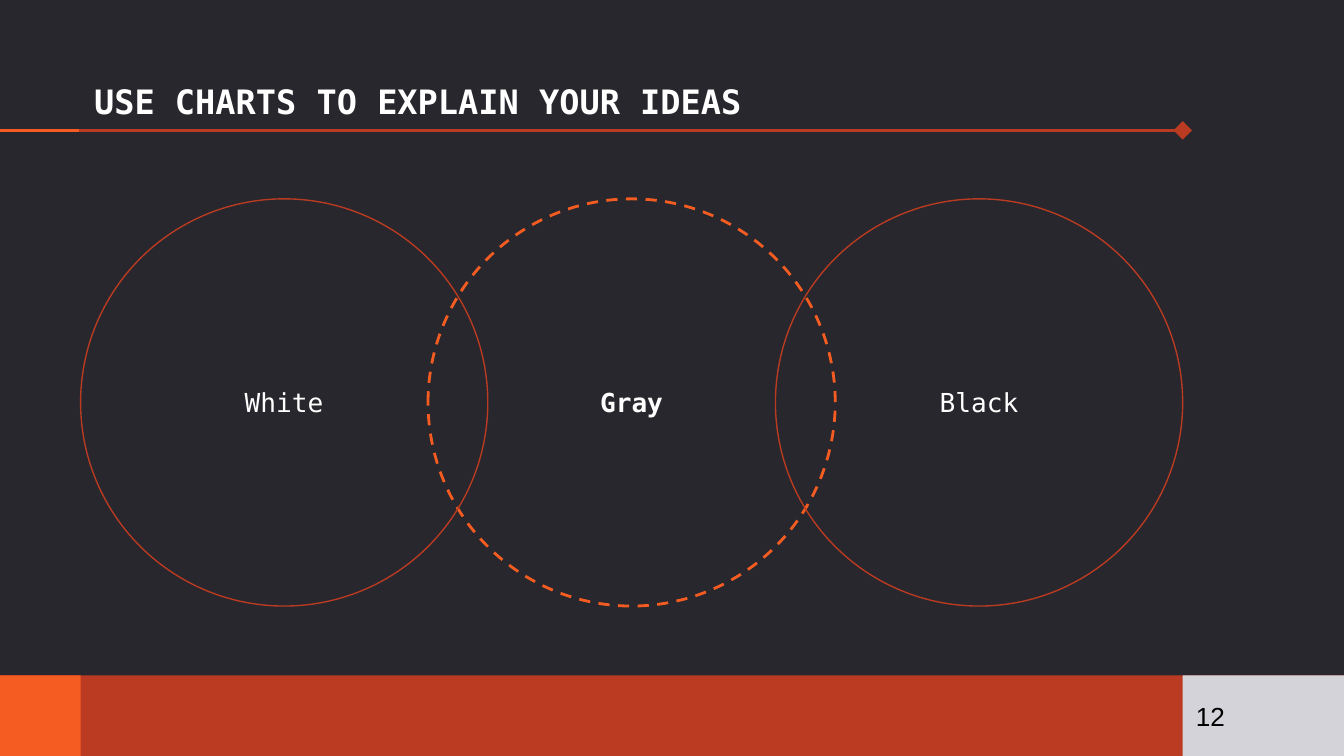
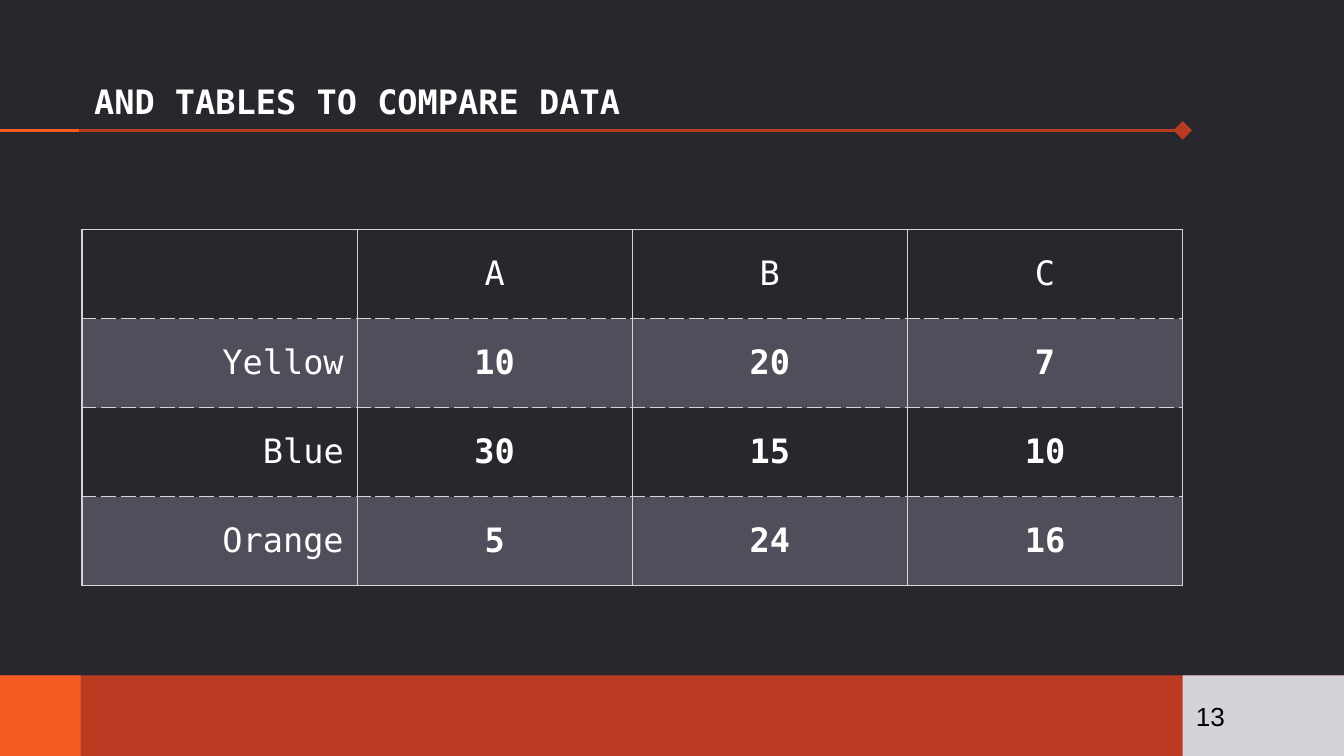
from lxml import etree
from pptx import Presentation
from pptx.dml.color import RGBColor
from pptx.enum.dml import MSO_LINE
from pptx.enum.shapes import MSO_CONNECTOR, MSO_SHAPE
from pptx.enum.text import MSO_ANCHOR, MSO_AUTO_SIZE, PP_ALIGN
from pptx.oxml.ns import qn
from pptx.util import Inches, Pt

RECT, OVAL = MSO_SHAPE.RECTANGLE, MSO_SHAPE.OVAL
STRAIGHT, DASH = MSO_CONNECTOR.STRAIGHT, MSO_LINE.DASH
LEFT, CENTER, RIGHT = PP_ALIGN.LEFT, PP_ALIGN.CENTER, PP_ALIGN.RIGHT
MIDDLE, BOTTOM = MSO_ANCHOR.MIDDLE, MSO_ANCHOR.BOTTOM
NO_FIT = MSO_AUTO_SIZE.NONE

COLORS = {
    "back": "27272D", "red": "BA3B21", "orange": "F55C21",
    "pale": "D4D3D9", "stripe": "4F4F5C", "white": "FFFFFF", "black": "000000",
}
MONO, SANS = "DejaVu Sans Mono", "Arial"
WIDE = 10
HIGH = WIDE * 9 / 16
EDGE, END = 0.6, 8.8      # left and right limits of the content
RULE, BAND = 0.97, 0.6    # height of the title rule, depth of the footer


def color(name):
    """Return a palette colour."""
    return RGBColor.from_string(COLORS[name])


def write(frame, text, size, align=LEFT, bold=False, font=MONO, ink="white"):
    """Put one styled run in the first paragraph of a frame."""
    para = frame.paragraphs[0]
    para.alignment = align
    run = para.add_run()
    run.text = text
    run.font.name = font
    run.font.size = Pt(size)
    run.font.bold = bold
    run.font.color.rgb = color(ink)


def set_frame(frame, anchor):
    """Give a frame wrapping, even insets and an anchor."""
    frame.word_wrap = True
    frame.auto_size = NO_FIT
    frame.vertical_anchor = anchor
    frame.margin_left = frame.margin_right = Inches(0.1)
    frame.margin_top = frame.margin_bottom = Inches(0.1)


def add_box(slide, kind, box, fill=None):
    """Add a preset shape with no shadow or outline."""
    shape = slide.shapes.add_shape(kind, *map(Inches, box))
    shape.shadow.inherit = False
    if fill:
        shape.fill.solid()
        shape.fill.fore_color.rgb = color(fill)
    else:
        shape.fill.background()
    shape.line.fill.background()
    set_frame(shape.text_frame, MIDDLE)
    return shape


def add_rule(slide, end, ink, tip=None):
    """Draw the title rule from the slide edge to a given point."""
    rule = slide.shapes.add_connector(
        STRAIGHT, Inches(-0.01), Inches(RULE), Inches(end), Inches(RULE))
    rule.line.color.rgb = color(ink)
    rule.line.width = Pt(1.5)
    if tip:
        etree.SubElement(rule.line._get_or_add_ln(), qn("a:tailEnd"),
                         type=tip, w="lg", len="lg")
    etree.SubElement(rule._element.spPr, qn("a:effectLst"))


def add_footer(slide, box, number):
    """Draw the footer band with its end blocks and the page number."""
    left, top, width, height = box
    add_box(slide, RECT, box, "red")
    add_box(slide, RECT, (left, top, EDGE, height), "orange")
    page = add_box(slide, RECT, (END, top, left + width - END, height), "pale")
    write(page.text_frame, str(number), 14, font=SANS, ink="black")


def add_page(deck, title, number):
    """Add a slide with background, title, rule and footer."""
    slide = deck.slides.add_slide(deck.slide_layouts.get_by_name("Title Only"))
    slide.background.fill.solid()
    slide.background.fill.fore_color.rgb = color("back")
    head = slide.shapes.title
    head.left, head.top = Inches(EDGE), Inches(0.4)
    head.width, head.height = Inches(END - EDGE), Inches(0.6)
    set_frame(head.text_frame, BOTTOM)
    write(head.text_frame, title, 18, bold=True)
    add_rule(slide, END, "red", "diamond")
    add_rule(slide, EDGE - 0.01, "orange")
    add_footer(slide, (0, HIGH - BAND, WIDE, BAND), number)
    return slide


def add_rings(slide, box, names):
    """Spread overlapping rings over a box, the dashed middle one at the back."""
    left, top, width, size = box
    step = (width - size) / (len(names) - 1)
    mid = len(names) // 2
    for i in sorted(range(len(names)), key=lambda i: i != mid):
        main = i == mid
        ring = add_box(slide, OVAL, (left + i * step, top, size, size))
        ring.line.color.rgb = color("orange" if main else "red")
        ring.line.width = Pt(1.5 if main else 0.75)
        if main:
            ring.line.dash_style = DASH
        write(ring.text_frame, names[i], 14, CENTER, main)


def set_edges(cell, dashed):
    """Outline a cell, with dashes on the named sides."""
    props = cell._tc.get_or_add_tcPr()
    for i, side in enumerate("LRTB"):
        edge = etree.Element(qn("a:ln" + side), w=str(Pt(0.75)))
        fill = etree.SubElement(edge, qn("a:solidFill"))
        etree.SubElement(fill, qn("a:srgbClr"), val=COLORS["pale"])
        etree.SubElement(edge, qn("a:prstDash"),
                         val="dash" if side in dashed else "solid")
        props.insert(i, edge)


def add_grid(slide, box, rows):
    """Add a striped table with dashed lines between its rows."""
    count, span = len(rows), len(rows[0])
    left, top, width, height = map(Inches, box)
    grid = slide.shapes.add_table(count, span, left, top, width, height).table
    grid.first_row = grid.horz_banding = False
    for r, row in enumerate(rows):
        dashed = ("T" if r > 0 else "") + ("B" if r < count - 1 else "")
        for c, text in enumerate(row):
            cell = grid.cell(r, c)
            cell.vertical_anchor = MIDDLE
            cell.margin_left = cell.margin_right = Inches(0.1)
            cell.margin_top = cell.margin_bottom = Inches(0.07)
            if r % 2:
                cell.fill.solid()
                cell.fill.fore_color.rgb = color("stripe")
            else:
                cell.fill.background()
            set_edges(cell, dashed)
            if text:
                write(cell.text_frame, text, 18, CENTER if c else RIGHT,
                      r > 0 and c > 0)


def main():
    """Build and save the deck."""
    deck = Presentation()
    deck.slide_width, deck.slide_height = Inches(WIDE), Inches(HIGH)

    slide = add_page(deck, "USE CHARTS TO EXPLAIN YOUR IDEAS", 12)
    add_rings(slide, (EDGE, 1.48, END - EDGE, 3.03), ["White", "Gray", "Black"])

    slide = add_page(deck, "AND TABLES TO COMPARE DATA", 13)
    add_grid(slide, (0.61, 1.71, 8.19, 2.65), [
        ["", "A", "B", "C"],
        ["Yellow", "10", "20", "7"],
        ["Blue", "30", "15", "10"],
        ["Orange", "5", "24", "16"],
    ])
    deck.save("out.pptx")


main()
